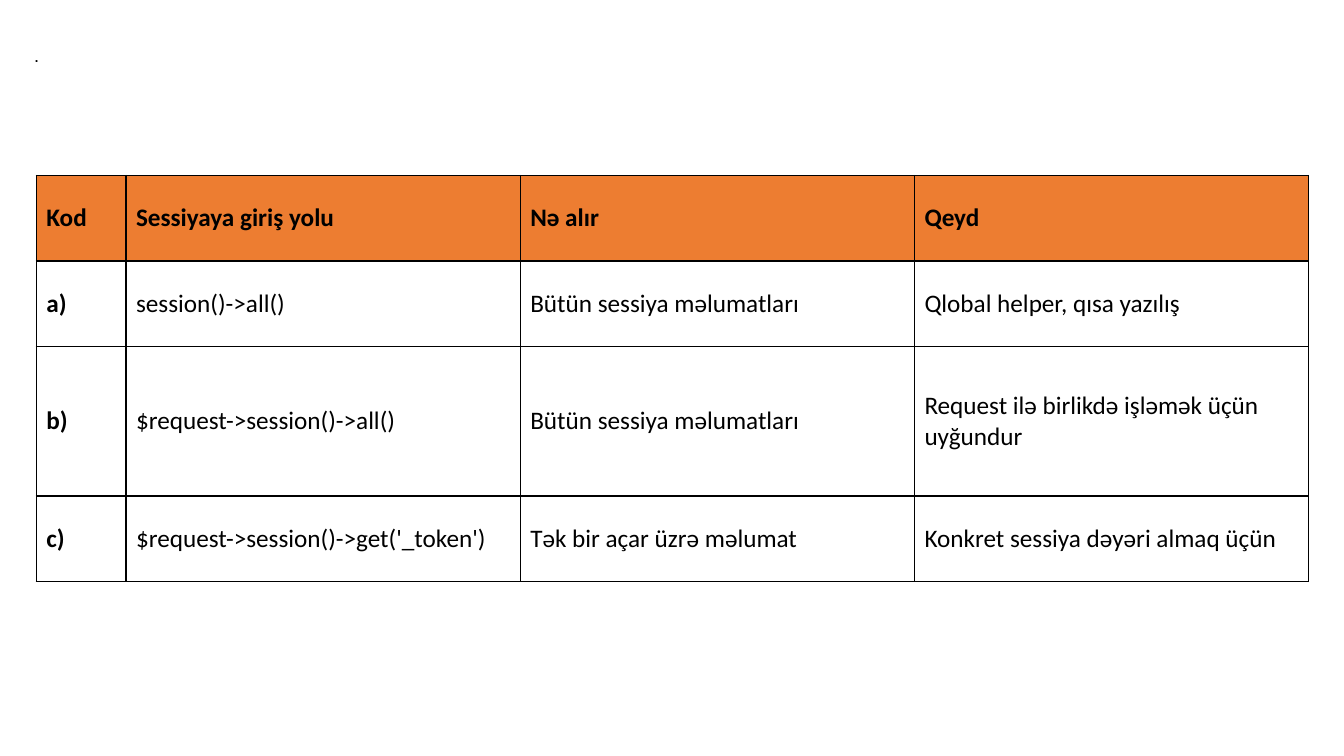
from dataclasses import dataclass
from lxml.etree import SubElement
from pptx import Presentation
from pptx.dml.color import RGBColor
from pptx.enum.text import MSO_ANCHOR, MSO_AUTO_SIZE
from pptx.oxml.ns import qn
from pptx.util import Inches, Pt


@dataclass
class Theme:
    ink: str = "000000"
    head: str = "ED7D31"
    body: str = "Calibri"
    note: str = "Arial"
    big: int = 18
    small: int = 13
    line: int = 1


theme = Theme()


def write(frame, text, face, size, bold=False):
    run = frame.paragraphs[0].add_run()
    run.text = text
    run.font.name = face
    run.font.size = Pt(size)
    run.font.bold = bold
    run.font.color.rgb = RGBColor.from_string(theme.ink)


def border(cell):
    props = cell._tc.get_or_add_tcPr()
    for side in ("lnL", "lnR", "lnT", "lnB"):
        edge = SubElement(props, qn(f"a:{side}"), w=str(Pt(theme.line)))
        fill = SubElement(edge, qn("a:solidFill"))
        SubElement(fill, qn("a:srgbClr"), val=theme.ink)


deck = Presentation()
deck.slide_width = Inches(13.33)
deck.slide_height = Inches(7.5)
slide = deck.slides.add_slide(deck.slide_layouts[6])

note = slide.shapes.add_textbox(Inches(0.24), Inches(0.28), Inches(12.86), Inches(0.39))
frame = note.text_frame
frame.word_wrap = True
frame.auto_size = MSO_AUTO_SIZE.SHAPE_TO_FIT_TEXT
frame.paragraphs[0].line_spacing = 1.5
write(frame, ".", theme.note, theme.small)

rows = [
    ("Kod", "Sessiyaya giriş yolu", "Nə alır", "Qeyd"),
    ("a)", "session()->all()", "Bütün sessiya məlumatları", "Qlobal helper, qısa yazılış"),
    ("b)", "$request->session()->all()", "Bütün sessiya məlumatları",
     "Request ilə birlikdə işləmək üçün uyğundur"),
    ("c)", "$request->session()->get('_token')", "Tək bir açar üzrə məlumat",
     "Konkret sessiya dəyəri almaq üçün"),
]
widths = [0.89] + [3.91] * 3
heights = [0.85, 0.85, 1.48, 0.85]

grid = slide.shapes.add_table(
    len(rows), len(widths), Inches(0.36), Inches(1.74),
    Inches(sum(widths)), Inches(sum(heights))).table
grid.horz_banding = False
for col, width in zip(grid.columns, widths):
    col.width = Inches(width)
for row, height in zip(grid.rows, heights):
    row.height = Inches(height)

for r, texts in enumerate(rows):
    for c, text in enumerate(texts):
        cell = grid.cell(r, c)
        cell.vertical_anchor = MSO_ANCHOR.MIDDLE
        border(cell)
        if r == 0:
            cell.fill.solid()
            cell.fill.fore_color.rgb = RGBColor.from_string(theme.head)
        else:
            cell.fill.background()
        write(cell.text_frame, text, theme.body, theme.big, r == 0 or c == 0)

deck.save("out.pptx")
